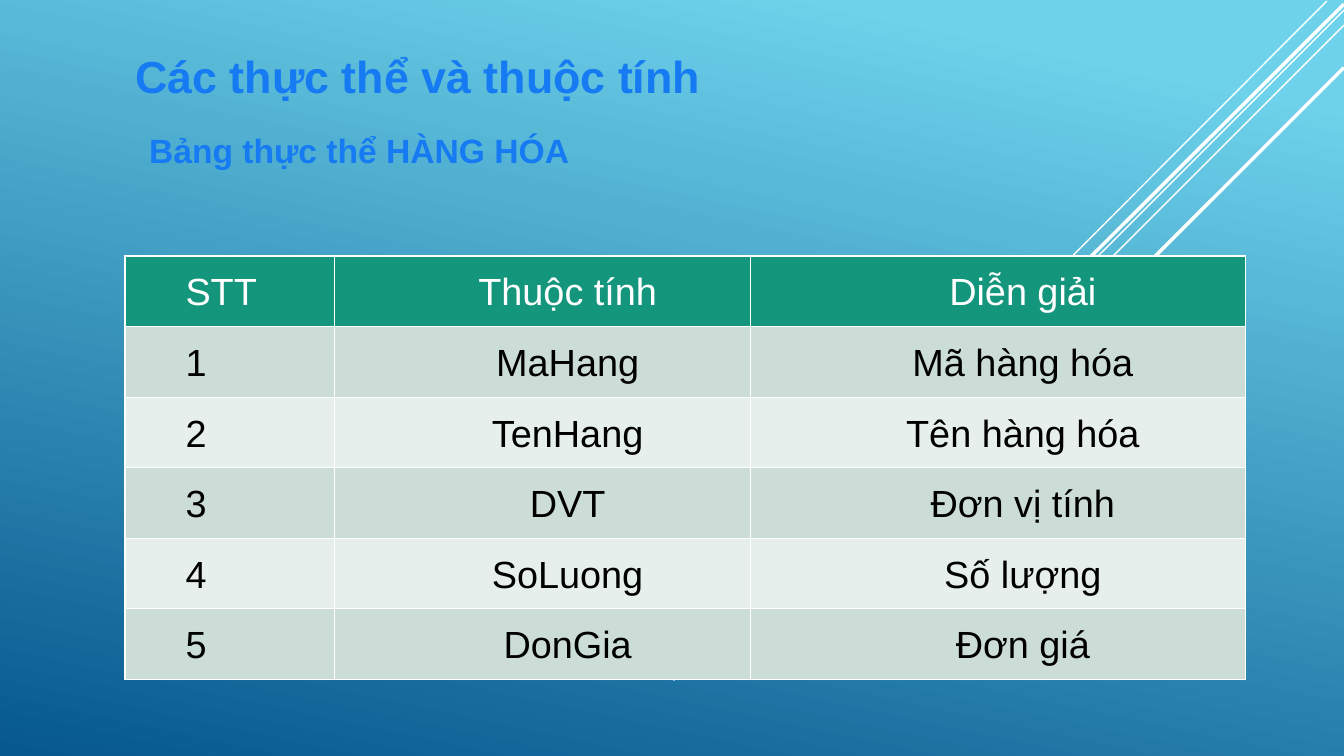
from dataclasses import dataclass

from lxml.etree import SubElement
from pptx import Presentation
from pptx.dml.color import RGBColor
from pptx.enum.shapes import MSO_CONNECTOR
from pptx.enum.text import MSO_ANCHOR, MSO_AUTO_SIZE, PP_ALIGN
from pptx.oxml import parse_xml
from pptx.oxml.ns import nsdecls, qn
from pptx.util import Inches, Pt


@dataclass(frozen=True)
class Theme:
    font: str = "Arial"
    sky: str = "6ED2EB"
    deep: str = "06588E"
    white: str = "FFFFFF"
    black: str = "000000"
    heading: str = "167BF3"
    header: str = "14967C"
    bands: tuple = ("CCDDD7", "E7EFEC")
    title_size: int = 32
    subtitle_size: int = 24
    table_size: int = 27


THEME = Theme()

# x1, y1, x2, y2, width in points
RAYS = [
    (13.16, 0.01, 9, 4.18, 1),
    (13.33, 0.1, 6.68, 6.75, 1),
    (13.33, 0.25, 7.91, 5.67, 1),
    (13.33, 0.04, 8.02, 5.34, 2.5),
    (13.33, 0.67, 8.58, 5.42, 2.5),
]
COLUMN_WIDTHS = [2.08, 4.12, 4.91]
ROW_HEIGHT = 0.7
ROWS = [
    ("STT", "Thuộc tính", "Diễn giải"),
    ("1", "MaHang", "Mã hàng hóa"),
    ("2", "TenHang", "Tên hàng hóa"),
    ("3", "DVT", "Đơn vị tính"),
    ("4", "SoLuong", "Số lượng"),
    ("5", "DonGia", "Đơn giá"),
]


def set_attrs(obj, values):
    for name, value in values.items():
        setattr(obj, name, value)


def style_font(font, size, color, bold=False):
    set_attrs(font, {"name": THEME.font, "size": Pt(size), "bold": bold})
    font.color.rgb = RGBColor.from_string(color)


def paint_background(s):
    fill = s.background.fill
    fill.gradient()
    fill.gradient_angle = 360 - 102
    for stop, position, color in zip(fill.gradient_stops, (0.1, 1), (THEME.sky, THEME.deep)):
        stop.position = position
        stop.color.rgb = RGBColor.from_string(color)


def add_ray(s, x1, y1, x2, y2, width):
    ray = s.shapes.add_connector(MSO_CONNECTOR.STRAIGHT, *map(Inches, (x1, y1, x2, y2)))
    ray.line.color.rgb = RGBColor.from_string(THEME.white)
    ray.line.width = Pt(width)
    SubElement(ray._element.spPr, qn("a:effectLst"))


def add_text_shadow(r):
    shadow = parse_xml(
        f'<a:effectLst {nsdecls("a")}><a:outerShdw blurRad="38100" dist="25400" dir="2700000">'
        f'<a:srgbClr val="{THEME.white}"/></a:outerShdw></a:effectLst>'
    )
    r.font._element.find(qn("a:solidFill")).addnext(shadow)


def write_heading(sp, text, size, left, top, width, height):
    set_attrs(sp, {"left": Inches(left), "top": Inches(top),
                   "width": Inches(width), "height": Inches(height)})
    tf = sp.text_frame
    set_attrs(tf, {"word_wrap": True, "auto_size": MSO_AUTO_SIZE.SHAPE_TO_FIT_TEXT,
                   "vertical_anchor": MSO_ANCHOR.TOP})
    p = tf.paragraphs[0]
    p.alignment = PP_ALIGN.LEFT
    r = p.add_run()
    r.text = text
    style_font(r.font, size, THEME.heading, bold=True)
    add_text_shadow(r)


def add_borders(cell):
    for side in ("lnL", "lnR", "lnT", "lnB"):
        line = SubElement(cell._tc.get_or_add_tcPr(), qn(f"a:{side}"), w=str(Pt(1)))
        SubElement(SubElement(line, qn("a:solidFill")), qn("a:srgbClr"), val=THEME.white)


def write_cell(cell, text, fill, color, alignment):
    add_borders(cell)
    cell.fill.solid()
    cell.fill.fore_color.rgb = RGBColor.from_string(fill)
    set_attrs(cell, {"vertical_anchor": MSO_ANCHOR.MIDDLE, "margin_left": Inches(0.1),
                     "margin_right": Inches(0.1), "margin_top": 0, "margin_bottom": 0})
    p = cell.text_frame.paragraphs[0]
    set_attrs(p, {"alignment": alignment, "line_spacing": 1.07})
    p._p.get_or_add_pPr().set("marL", str(Inches(0.5)))
    r = p.add_run()
    r.text = text
    style_font(r.font, THEME.table_size, color)


def add_attribute_table(s, left, top):
    table = s.shapes.add_table(
        len(ROWS), len(COLUMN_WIDTHS), Inches(left), Inches(top),
        Inches(sum(COLUMN_WIDTHS)), Inches(ROW_HEIGHT * len(ROWS)),
    ).table
    for column, width in zip(table.columns, COLUMN_WIDTHS):
        column.width = Inches(width)
    for i, texts in enumerate(ROWS):
        table.rows[i].height = Inches(ROW_HEIGHT)
        fill = THEME.bands[(i - 1) % 2] if i else THEME.header
        color = THEME.black if i else THEME.white
        for j, text in enumerate(texts):
            alignment = PP_ALIGN.CENTER if j else PP_ALIGN.LEFT
            write_cell(table.cell(i, j), text, fill, color, alignment)


def main():
    prs = Presentation()
    set_attrs(prs, {"slide_width": Inches(13.33), "slide_height": Inches(7.5)})
    s = prs.slides.add_slide(prs.slide_layouts[5])
    paint_background(s)
    for ray in RAYS:
        add_ray(s, *ray)
    add_attribute_table(s, 1.24, 2.54)
    write_heading(s.shapes.title, "Các thực thể và thuộc tính", THEME.title_size,
                  1.24, 0.43, 6.68, 0.64)
    subtitle = s.shapes.add_textbox(0, 0, 0, 0)
    write_heading(subtitle, "Bảng thực thể HÀNG HÓA", THEME.subtitle_size,
                  1.38, 1.24, 6.68, 0.5)
    prs.save("out.pptx")


if __name__ == "__main__":
    main()
